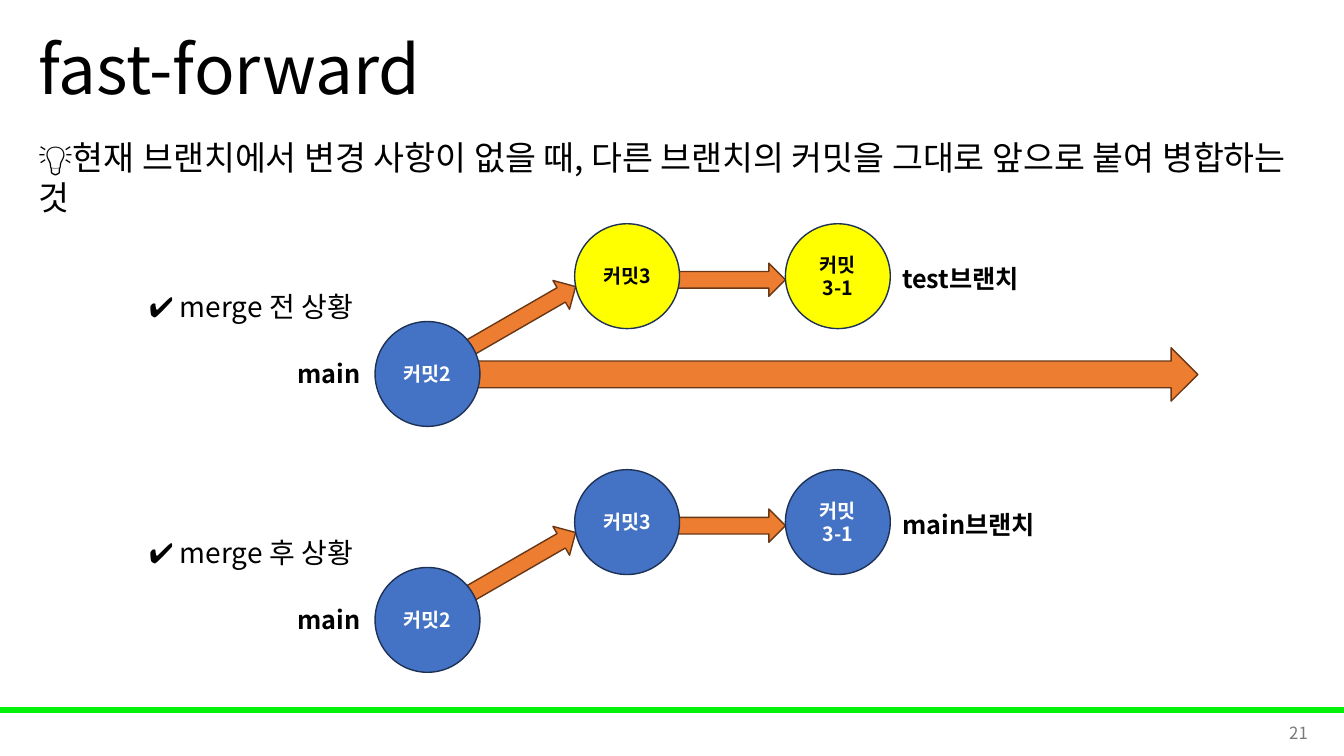
"""Builds the fast-forward merge slide: branches before and after the merge."""
from lxml import etree
from pptx import Presentation
from pptx import util as u
from pptx.dml.color import RGBColor
from pptx.enum import shapes, text
from pptx.oxml.ns import qn

FONT = "Noto Sans CJK KR"
COLORS = {
    "black": "000000", "white": "FFFFFF", "gray": "797979", "green": "00F209",
    "blue": "4472C4", "navy": "1E3256", "yellow": "FFFF00",
    "orange": "ED7D31", "brown": "683715",
}
LEFT, CENTER, RIGHT = text.PP_ALIGN.LEFT, text.PP_ALIGN.CENTER, text.PP_ALIGN.RIGHT
TOP, MIDDLE = text.MSO_ANCHOR.TOP, text.MSO_ANCHOR.MIDDLE
KINDS = shapes.MSO_SHAPE

presentation = Presentation()
presentation.slide_width = u.Inches(13.33)
presentation.slide_height = u.Inches(7.5)
slide = presentation.slides.add_slide(presentation.slide_layouts[6])


def write(shape, words, size, color="black", bold=False, align=LEFT, anchor=TOP, wrap=True):
    frame = shape.text_frame
    frame.text = words
    frame.word_wrap = wrap
    frame.vertical_anchor = anchor
    paragraph = frame.paragraphs[0]
    paragraph.alignment = align
    for run in paragraph.runs:
        run.font.size = u.Pt(size)
        run.font.bold = bold
        run.font.color.rgb = RGBColor.from_string(COLORS[color])
        run.font.name = FONT
        etree.SubElement(run.font._element, qn("a:ea")).set("typeface", FONT)
    return paragraph


def draw(kind, box, fill, line, rotation=0):
    shape = slide.shapes.add_shape(kind, *map(u.Inches, box))
    shape.shadow.inherit = False
    shape.fill.solid()
    shape.fill.fore_color.rgb = RGBColor.from_string(COLORS[fill])
    shape.line.color.rgb = RGBColor.from_string(COLORS[line])
    shape.line.width = u.Pt(1)
    shape.rotation = rotation
    return shape


draw(KINDS.RECTANGLE, (0, 7.02, 13.33, 0.05), "green", "green")

title = slide.shapes.add_textbox(*map(u.Inches, (0.28, 0, 11.5, 1.45)))
write(title, "fast-forward", 48, anchor=MIDDLE).line_spacing = 0.9
summary = slide.shapes.add_textbox(*map(u.Inches, (0.28, 1.31, 12.7, 0.5)))
write(summary, "💡현재 브랜치에서 변경 사항이 없을 때, 다른 브랜치의 커밋을 그대로 앞으로 붙여 병합하는 것", 24)
number = slide.shapes.add_textbox(*map(u.Inches, (10.07, 7.07, 3, 0.4)))
write(number, "21", 12, "gray", align=RIGHT, anchor=MIDDLE)

ROW_TOP, ROW_STEP = 2.22, 2.44
DIAMETER, MAIN_DROP = 1.04, 0.97
COMMITS = [("커밋2", 3.72, MAIN_DROP), ("커밋3", 5.7, 0), ("커밋3-1", 7.79, 0)]
SITUATIONS = [
    ("✔️ merge 전 상황", "test브랜치", 1.47, "yellow", "black"),
    ("✔️ merge 후 상황", "main브랜치", 1.61, "blue", "white"),
]

for row, (heading, branch, branch_width, branch_fill, branch_ink) in enumerate(SITUATIONS):
    top = ROW_TOP + row * ROW_STEP
    draw(KINDS.DOWN_ARROW, (5.02, top + 0.32, 0.33, 1.21), "orange", "brown", 240)
    draw(KINDS.DOWN_ARROW, (7.08, top + 0.01, 0.33, 1.09), "orange", "brown", 270)
    if row == 0:
        draw(KINDS.RIGHT_ARROW, (3.89, top + 1.23, 7.99, 0.53), "orange", "brown")

    for commit, left, drop in COMMITS:
        fill, ink = ("blue", "white") if drop else (branch_fill, branch_ink)
        circle = draw(KINDS.OVAL, (left, top + drop, DIAMETER, DIAMETER), fill, "navy")
        write(circle, commit, 14, ink, True, CENTER, MIDDLE)

    labels = [
        (heading, (1.38, top + 0.6, 2.31, 0.44), 20, False),
        ("main", (2.85, top + 1.29, 0.88, 0.4), 18, True),
        (branch, (8.85, top + 0.34, branch_width, 0.4), 18, True),
    ]
    for words, box, size, bold in labels:
        label = slide.shapes.add_textbox(*map(u.Inches, box))
        write(label, words, size, bold=bold, wrap=False)

presentation.save("out.pptx")
